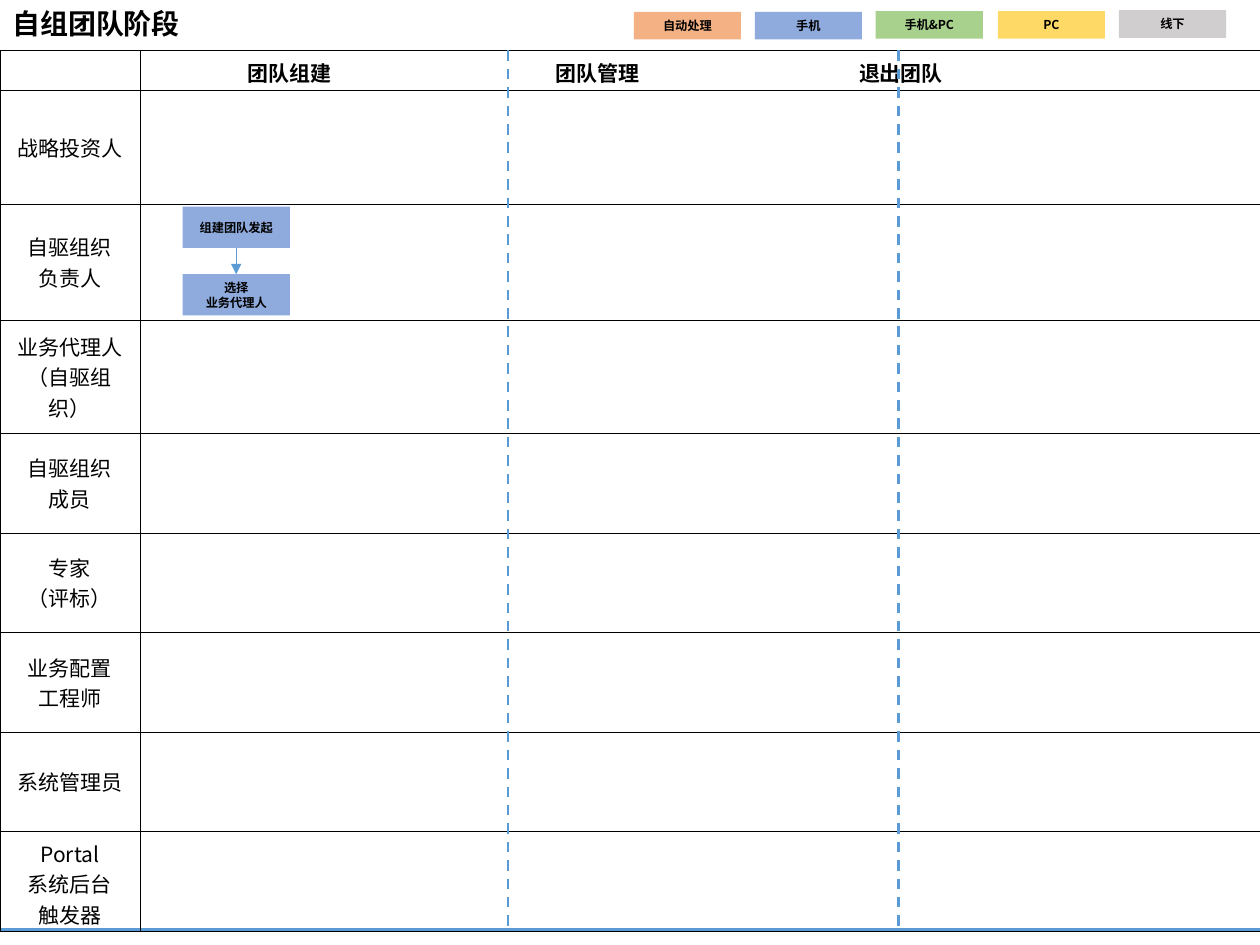
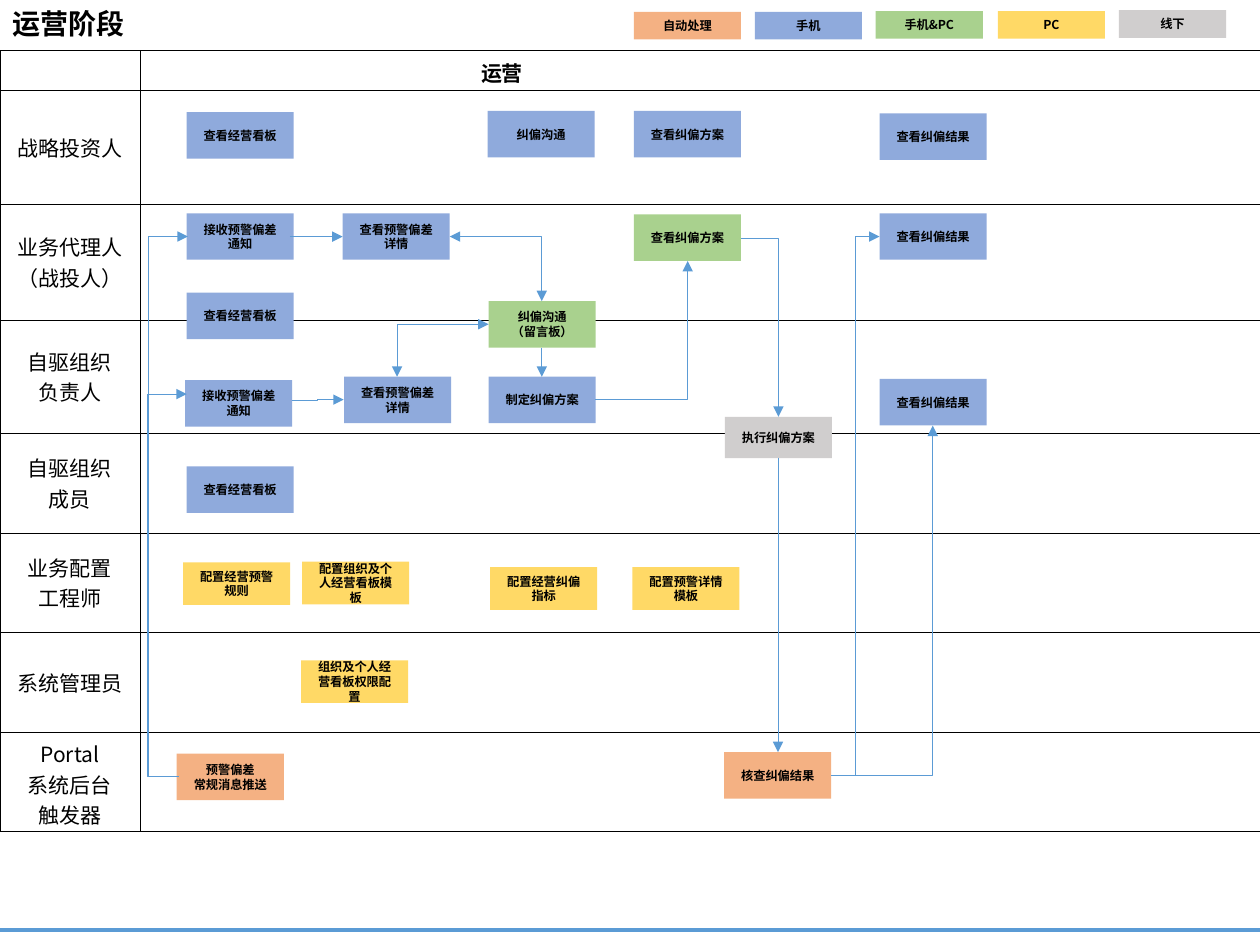
import pptx
import pptx.util
import pptx.dml.color
import pptx.enum.dml
import pptx.enum.shapes
import pptx.enum.text
import pptx.oxml
import pptx.oxml.ns
import lxml.etree

Pt = pptx.util.Pt
RGBColor = pptx.dml.color.RGBColor
qn = pptx.oxml.ns.qn
CENTER = pptx.enum.text.PP_ALIGN.CENTER
LEFT = pptx.enum.text.PP_ALIGN.LEFT
MIDDLE = pptx.enum.text.MSO_ANCHOR.MIDDLE

# Shared look
FONT = "Noto Sans CJK SC"
BLACK = RGBColor(0x00, 0x00, 0x00)
LINE = RGBColor(0x5B, 0x9B, 0xD5)
AUTO = RGBColor(0xF4, 0xB1, 0x83)
PHONE = RGBColor(0x8F, 0xAA, 0xDC)
BOTH = RGBColor(0xA9, 0xD1, 0x8E)
DESKTOP = RGBColor(0xFF, 0xD9, 0x66)
OFFLINE = RGBColor(0xD0, 0xCE, 0xCE)
TOP = 28.8
BOTTOM = 531.4
BOX_W = 61.2

# Boxes are grouped as (colour, height, [(left, top, text)])
LEGEND = [
    (AUTO, 15.8, [(362.2, 6.8, "自动处理")]),
    (PHONE, 15.8, [(431.3, 6.8, "手机")]),
    (BOTH, 15.8, [(500.4, 6.3, "手机&PC")]),
    (DESKTOP, 15.8, [(570.2, 6.3, "PC")]),
    (OFFLINE, 15.8, [(639.4, 5.8, "线下")]),
]

# Connectors are (preset, start, end, bend share, both ends have arrows)
SLIDES = [
    {
        "title": "自组团队阶段",
        "phases": [(54.6, "团队组建"), (230.5, "团队管理"), (403.8, "退出团队")],
        "dividers": [290.2, 513.4],
        "lanes": [
            (64.8, "战略投资人"), (66.2, "自驱组织\n负责人"),
            (64.8, "业务代理人\n（自驱组织）"), (56.9, "自驱组织\n成员"),
            (56.9, "专家\n（评标）"), (56.9, "业务配置\n工程师"),
            (56.9, "系统管理员"), (56.9, "Portal\n系统后台\n触发器"),
        ],
        "boxes": [
            (PHONE, 23.6, [(104.4, 118, "组建团队发起"),
                           (104.4, 156.7, "选择\n业务代理人")]),
        ],
        "flows": [("line", (135, 141.5), (135, 156.7), None, False)],
    },
    {
        "title": "运营阶段",
        "phases": [(187.8, "运营")],
        "dividers": [],
        "lanes": [
            (64.8, "战略投资人"), (66.2, "业务代理人\n（战投人）"),
            (64.8, "自驱组织\n负责人"), (56.9, "自驱组织\n成员"),
            (56.9, "业务配置\n工程师"), (56.9, "系统管理员"),
            (56.9, "Portal\n系统后台\n触发器"),
        ],
        "boxes": [
            (PHONE, 26.6, [
                (106.6, 64.1, "查看经营看板"), (278.6, 63.4, "纠偏沟通"),
                (362.2, 63.4, "查看纠偏方案"), (502.6, 64.8, "查看纠偏结果"),
                (106.6, 121.9, "接收预警偏差通知"),
                (195.8, 121.9, "查看预警偏差详情"),
                (502.6, 121.9, "查看纠偏结果"), (106.6, 167.2, "查看经营看板"),
                (105.8, 217.2, "接收预警偏差通知"),
                (196.6, 215.3, "查看预警偏差详情"),
                (279.2, 215.3, "制定纠偏方案"), (502.6, 216.5, "查看纠偏结果"),
                (106.6, 266.6, "查看经营看板"),
            ]),
            (BOTH, 26.6, [(279.2, 172.1, "纠偏沟通\n（留言板）"),
                          (362.2, 122.6, "查看纠偏方案")]),
            (OFFLINE, 23.6, [(414.2, 238.2, "执行纠偏方案")]),
            (DESKTOP, 24.4, [
                (104.6, 321.3, "配置经营预警规则"),
                (172.6, 320.9, "配置组织及个人经营看板模板"),
                (280.1, 324.1, "配置经营纠偏指标"),
                (361.4, 324.1, "配置预警详情模板"),
                (172, 377.3, "组织及个人经营看板权限配置"),
            ]),
            (AUTO, 26.6, [(101, 430.6, "预警偏差\n常规消息推送"),
                          (413.8, 429.8, "核查纠偏结果")]),
        ],
        "flows": [
            ("bentConnector3", (102.2, 443.5), (106.8, 225.2), -3.86, False),
            ("bentConnector3", (102.2, 443.5), (107.4, 135.2), -3.38, False),
            ("line", (165.6, 135.2), (195.8, 135.2), None, False),
            ("bentConnector3", (166.6, 229), (196.4, 228.4), 0.5, False),
            ("bentConnector2", (279.2, 185.3), (226.9, 215.3), None, True),
            ("bentConnector2", (257, 135.2), (309.6, 172.1), None, True),
            ("line", (309.6, 198.7), (309.6, 215.3), None, False),
            ("bentConnector2", (340, 228.4), (393, 149.2), None, False),
            ("bentConnector2", (423.4, 136.1), (444.8, 238.2), None, False),
            ("line", (444.6, 261.6), (444.6, 429.8), None, False),
            ("bentConnector2", (475, 443.3), (533, 243.2), None, False),
            ("bentConnector3", (475, 443.3), (502.6, 135.2), 0.5, False),
        ],
    },
]


def write(tf, text, size, bold=True, align=CENTER):
    """Fill a text frame, one paragraph for each line of text."""
    for i, words in enumerate(text.split("\n")):
        p = tf.paragraphs[0] if i == 0 else tf.add_paragraph()
        p.alignment = align
        r = p.add_run()
        r.text = words
        r.font.size = Pt(size)
        r.font.bold = bold
        r.font.color.rgb = BLACK
        r.font.name = FONT
        ea = pptx.oxml.parse_xml(
            f'<a:ea {pptx.oxml.ns.nsdecls("a")} typeface="{FONT}"/>')
        r.font._element.find(qn("a:latin")).addnext(ea)


def connect(s, start, end, width):
    """Add a plain line without shadow."""
    cx = s.shapes.add_connector(pptx.enum.shapes.MSO_CONNECTOR.STRAIGHT,
                                Pt(start[0]), Pt(start[1]), Pt(end[0]), Pt(end[1]))
    cx.line.color.rgb = LINE
    cx.line.width = Pt(width)
    lxml.etree.SubElement(cx._element.spPr, qn("a:effectLst"))
    return cx


prs = pptx.Presentation()
prs.slide_width, prs.slide_height = Pt(720), Pt(540)

for page in SLIDES:
    s = prs.slides.add_slide(prs.slide_layouts[6])

    # Outer frame
    frame = s.shapes.add_table(1, 1, Pt(-1.4), Pt(TOP), Pt(722.2), Pt(502.6)).table

    # Title
    tb = s.shapes.add_textbox(Pt(0), Pt(0.7), Pt(150.5), Pt(28.1))
    tf = tb.text_frame
    tf.word_wrap = True
    tf.vertical_anchor = MIDDLE
    write(tf, page["title"], 16, align=LEFT)
    tf.paragraphs[0].line_spacing = 0.9

    # Swimlanes
    heights = [23] + [h for h, _ in page["lanes"]]
    lanes = s.shapes.add_table(len(heights), 2, Pt(0), Pt(TOP),
                               Pt(720), Pt(sum(heights))).table
    lanes.columns[0].width, lanes.columns[1].width = Pt(79.9), Pt(640.1)
    for row, h in zip(lanes.rows, heights):
        row.height = Pt(h)
    for i, (_, name) in enumerate(page["lanes"], 1):
        write(lanes.cell(i, 0).text_frame, name, 12, bold=False)

    # Phase names stand on tab stops in the header row
    tf = lanes.cell(0, 1).text_frame
    write(tf, "".join("\t" + name for _, name in page["phases"]), 12, align=LEFT)
    tabs = lxml.etree.SubElement(tf.paragraphs[0]._p.get_or_add_pPr(), qn("a:tabLst"))
    for x, _ in page["phases"]:
        lxml.etree.SubElement(tabs, qn("a:tab"), pos=str(int(Pt(x))), algn="l")

    # Cell fills and borders
    for table, color, width in ((frame, LINE, 2.25), (lanes, BLACK, 0.25)):
        table.first_row = table.horz_banding = False
        for cell in table.iter_cells():
            cell.vertical_anchor = MIDDLE
            cell.fill.background()
            if not cell.text_frame.text:
                cell.text_frame.paragraphs[0]._p.get_or_add_endParaRPr().set("sz", "1200")
            for i, side in enumerate(("lnL", "lnR", "lnT", "lnB")):
                black_top = table is frame and side == "lnT"
                rgb, w = (BLACK, 1) if black_top else (color, width)
                ln = pptx.oxml.parse_xml(
                    f'<a:{side} {pptx.oxml.ns.nsdecls("a")} w="{int(Pt(w))}">'
                    f'<a:solidFill><a:srgbClr val="{rgb}"/></a:solidFill></a:{side}>')
                cell._tc.get_or_add_tcPr().insert(i, ln)

    # Phase dividers
    for x in page["dividers"]:
        cx = connect(s, (x, TOP), (x, BOTTOM), 1.5)
        cx.line.dash_style = pptx.enum.dml.MSO_LINE.DASH

    # Legend and step boxes
    for color, h, boxes in LEGEND + page["boxes"]:
        for x, y, text in boxes:
            sp = s.shapes.add_shape(pptx.enum.shapes.MSO_SHAPE.RECTANGLE,
                                    Pt(x), Pt(y), Pt(BOX_W), Pt(h))
            sp.shadow.inherit = False
            sp.fill.solid()
            sp.fill.fore_color.rgb = color
            sp.line.fill.background()
            sp.text_frame.word_wrap = True
            sp.text_frame.vertical_anchor = MIDDLE
            write(sp.text_frame, text, 7)

    # Flow arrows
    for preset, start, end, bend, both in page["flows"]:
        cx = connect(s, start, end, 0.5)
        geom = cx._element.spPr.find(qn("a:prstGeom"))
        geom.set("prst", preset)
        if bend is not None:
            lxml.etree.SubElement(geom.find(qn("a:avLst")), qn("a:gd"),
                                  name="adj1", fmla=f"val {round(bend * 100000)}")
        ln = cx.line._get_or_add_ln()
        for tag in ("a:headEnd", "a:tailEnd") if both else ("a:tailEnd",):
            lxml.etree.SubElement(ln, qn(tag), type="triangle")

prs.save("out.pptx")
